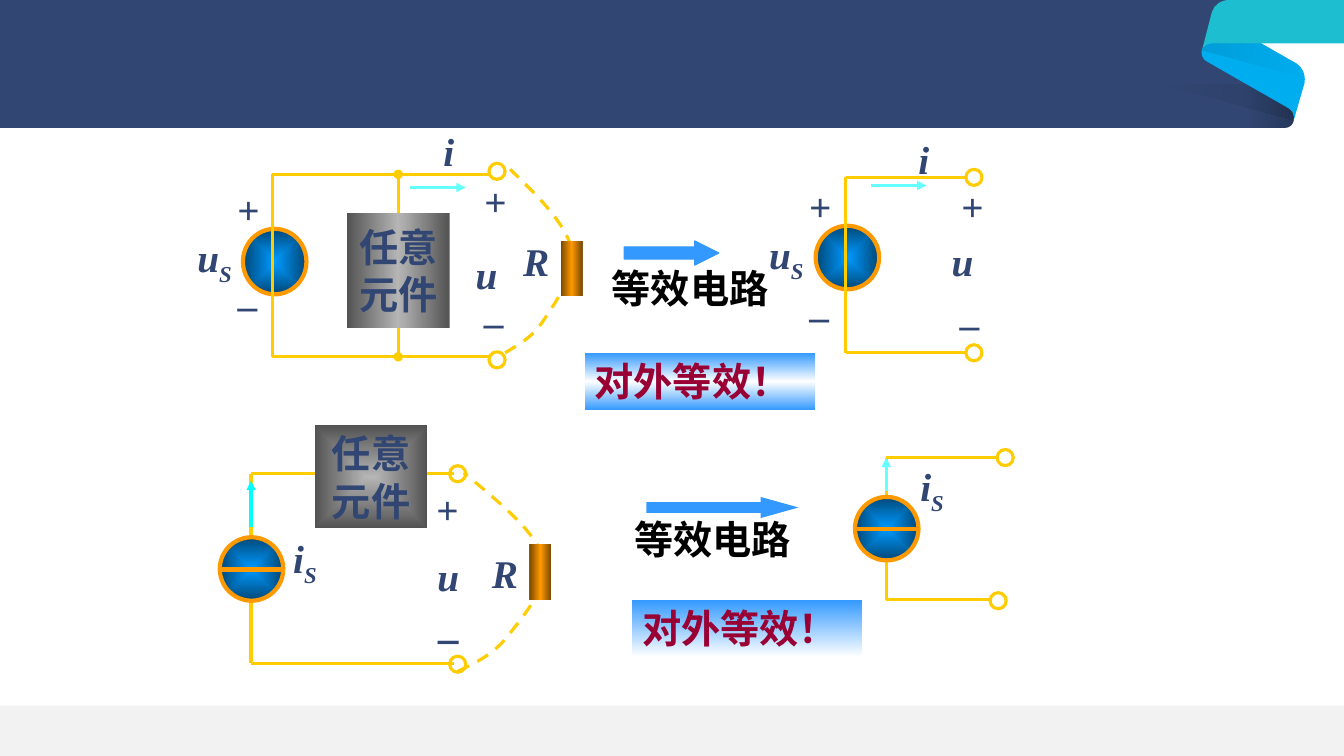
from lxml import etree
from pptx import Presentation
from pptx.dml.color import RGBColor
from pptx.enum.dml import MSO_LINE
from pptx.enum.shapes import MSO_CONNECTOR, MSO_SHAPE
from pptx.enum.text import MSO_ANCHOR, PP_ALIGN
from pptx.oxml.ns import qn
from pptx.util import Pt

PX = 9144
RECT, OVAL, ARROW = MSO_SHAPE.RECTANGLE, MSO_SHAPE.OVAL, MSO_SHAPE.RIGHT_ARROW
LINE, DASH = MSO_CONNECTOR.STRAIGHT, MSO_LINE.DASH
LEFT, MID = PP_ALIGN.LEFT, PP_ALIGN.CENTER
TOP, CENTER = MSO_ANCHOR.TOP, MSO_ANCHOR.MIDDLE
SERIF, SANS, HAN = "Times New Roman", "Arial", "Noto Sans CJK SC"
HUE = {
    "ink": "314672", "sky": "00ADEF", "teal": "1DBED0", "foot": "F2F2F2",
    "wire": "FFCC00", "rim": "FF9900", "flow": "66FFFF", "cyan": "00FFFF",
    "blue": "3399FF", "white": "FFFFFF", "black": "000000", "red": "990033",
    "core": "0099FF", "deep": "004776", "pale": "B5B5B5", "grey": "535353",
    "brown": "764700",
}


def rgb(name):
    return RGBColor.from_string(HUE[name])


def blend(shape, names, angle=None, alphas=None):
    grad = etree.Element(qn("a:gradFill"), rotWithShape="1")
    stops = etree.SubElement(grad, qn("a:gsLst"))
    for k, name in enumerate(names):
        pos = str(100000 * k // (len(names) - 1))
        stop = etree.SubElement(stops, qn("a:gs"), pos=pos)
        tint = etree.SubElement(stop, qn("a:srgbClr"), val=HUE[name])
        if alphas:
            etree.SubElement(tint, qn("a:alpha"), val=str(alphas[k] * 1000))
    if angle is None:
        way = etree.SubElement(grad, qn("a:path"), path="shape")
        sides = dict.fromkeys("ltrb", "50000")
        etree.SubElement(way, qn("a:fillToRect"), sides)
    else:
        etree.SubElement(grad, qn("a:lin"), ang=str(angle * 60000), scaled="0")
    shape._element.spPr.insert(2, grad)


def style(shape, fill=None, edge=None, width=2.25):
    shape.shadow.inherit = False
    if isinstance(fill, str):
        shape.fill.solid()
        shape.fill.fore_color.rgb = rgb(fill)
    elif fill:
        blend(shape, *fill)
    else:
        shape.fill.background()
    if edge:
        shape.line.color.rgb = rgb(edge)
        shape.line.width = Pt(width)
    else:
        shape.line.fill.background()
    return shape


def block(slide, kind, x, y, w, h, *look):
    box = [v * PX for v in (x, y, w, h)]
    return style(slide.shapes.add_shape(kind, *box), *look)


def trace(slide, x, y, steps, close=True, *look):
    pts = [((x + s[k]) * PX, (y + s[k + 1]) * PX)
           for s in steps for k in range(0, len(s), 2)]
    form = slide.shapes.build_freeform(*pts[0], scale=1.0)
    form.add_line_segments(pts[1:], close=close)
    shape = form.convert_to_shape()
    legs = iter(list(shape._element.iter(qn("a:lnTo"))))
    for step in steps[1:]:
        leg = next(legs)
        if len(step) == 6:
            leg.tag = qn("a:cubicBezTo")
            for other in (next(legs), next(legs)):
                leg.append(other[0])
                other.getparent().remove(other)
    return style(shape, *look)


def wire(slide, x, y, dx, dy, hue="wire", width=2.25, head=None, tail=None):
    line = slide.shapes.add_connector(LINE, x * PX, y * PX, (x + dx) * PX, (y + dy) * PX)
    line.line.color.rgb = rgb(hue)
    line.line.width = Pt(width)
    for tag, end in (("a:headEnd", head), ("a:tailEnd", tail)):
        if end:
            etree.SubElement(line.line._get_or_add_ln(), qn(tag), type=end)
    etree.SubElement(line._element.spPr, qn("a:effectLst"))


def write(shape, rows, hue="ink", face=SANS, slant=False, align=LEFT, anchor=TOP, wrap=True):
    frame = shape.text_frame
    frame.word_wrap = wrap
    frame.vertical_anchor = anchor
    for k, row in enumerate(rows):
        para = frame.add_paragraph() if k else frame.paragraphs[0]
        para.alignment = align
        font = para.font
        font.size, font.bold, font.italic, font.name = Pt(28), True, slant, face
        font.color.rgb = rgb(hue)
        etree.SubElement(font._element, qn("a:ea"), typeface=HAN)
        for n, part in enumerate(row):
            run = para.add_run()
            run.text = part
            if n:
                run.font._element.set("baseline", "-25000")


def label(slide, x, y, w, parts, **look):
    box = slide.shapes.add_textbox(x * PX, y * PX, w * PX, 57 * PX)
    write(box, [parts], **look)


def sign(slide, x, y, text, align=MID, face=SERIF):
    width = 37 if text == "_" else 43
    label(slide, x, y, width, [text], face=face, align=align, wrap=False)


def symbol(slide, x, y, w, *parts):
    label(slide, x, y, w, parts, face=SERIF, slant=True)


def ring(slide, x, y):
    block(slide, OVAL, x, y, 16, 16, None, "wire")


def source(slide, x, y, w=63, h=63):
    block(slide, OVAL, x, y, w, h, (("core", "deep"),), "rim", 3)


def banner(slide, x, y):
    trace(slide, x, y, [(0, 0), (1243, 0), (1243, 72), (1279, 108),
          (1283, 111, 1284, 115, 1283, 120), (1282, 124, 1279, 127, 1274, 127),
          (0, 127)], True, "ink")
    trace(slide, x, y, [(1197, 61), (1279, 108), (1283, 111, 1284, 115, 1283, 120),
          (1294, 82), (1295, 73, 1291, 66, 1286, 63), (1244, 39), (1202, 41),
          (1197, 41, 1193, 46, 1192, 50), (1191, 54, 1193, 59, 1197, 61)], True, "sky")
    trace(slide, x, y, [(1192, 50), (1193, 46, 1197, 43, 1202, 43), (1333, 43),
          (1333, 0), (1219, 0), (1211, 0, 1204, 5, 1202, 12), (1194, 43)], True, "teal")
    shades = (
        ([(1237, 84), (1237, 127), (1274, 127), (1279, 127, 1282, 124, 1283, 120),
          (1284, 115, 1283, 111, 1279, 108)], 180, 20),
        ([(1152, 84), (1283, 120), (1284, 115, 1283, 111, 1279, 108), (1237, 84)], 180, 10),
        ([(1192, 50), (1294, 77), (1294, 72, 1291, 66, 1286, 63), (1250, 43),
          (1202, 43), (1197, 43, 1193, 46, 1192, 50)], 0, 10),
    )
    for steps, angle, alpha in shades:
        trace(slide, x, y, steps, True, (("black", "black"), angle, (alpha, 0)))


def volt(slide, x, y, w, h, disc, tags, flow, rings):
    dx, dy, dw, dh = disc
    source(slide, x + dx, y + dy, dw, dh)
    wire(slide, x, y, 0, h)
    for dy in (0, h):
        wire(slide, x, y + dy, w, 0)
    for name, dx, dy in tags:
        if name in "+_":
            sign(slide, x + dx, y + dy, name)
        else:
            symbol(slide, x + dx, y + dy, {"uS": 83, "u": 63, "i": 42}[name], *name)
    wire(slide, x + flow[0], y + flow[1], 55, 0, "flow", tail="triangle")
    for dx, dy in rings:
        ring(slide, x + dx, y + dy)


def amp(slide, x, y, h, spans, drop, flow, hue, tag, rings):
    wire(slide, x, y, 0, h)
    wire(slide, x, y + flow[0], 0, flow[1] - flow[0], hue, tail="triangle")
    for dy, w in zip((0, h), spans):
        wire(slide, x, y + dy, w, 0)
    source(slide, x - 31, y + drop)
    wire(slide, x - 31, y + drop + 32, 63, 0, "rim", 3)
    symbol(slide, x + tag[0], y + tag[1], tag[2], "i", "S")
    for dx, dy in rings:
        ring(slide, x + dx, y + dy)


def part(slide, x, y, w, h, *fill):
    box = block(slide, RECT, x, y, w, h, fill)
    write(box, [["任意"], ["元件"]], align=MID, anchor=CENTER, wrap=False)


def load(slide, x, y, steps, tag, bar):
    trace(slide, x, y, steps, False, None, "wire").line.dash_style = DASH
    symbol(slide, x + tag[0], y + tag[1], tag[2], "R")
    block(slide, RECT, x + bar[0], y + bar[1], 22, 55, (("brown", "rim", "brown"), 0))


def equal(slide, x, y, w, h, tip, edge, drop, badge, hues):
    arrow = block(slide, ARROW, x, y, w, h, "blue", edge, 0.75)
    arrow.adjustments[0], arrow.adjustments[1] = 0.5, tip
    label(slide, x - 22, y + drop, 197, ["等效电路"], hue="black")
    box = block(slide, RECT, x + badge[0], y + badge[1], 228, 57, (hues, 90))
    write(box, [["对外等效！"]], "red")


def main():
    deck = Presentation()
    deck.slide_width, deck.slide_height = 1333 * PX, 750 * PX
    slide = deck.slides.add_slide(deck.slide_layouts[6])
    banner(slide, 0, 0)
    block(slide, RECT, 0, 700, 1333, 50, "foot")

    volt(slide, 270, 173, 217, 181, (-29, 54, 63, 65),
         [("uS", -84, 54), ("+", -45, 6), ("_", -44, 87), ("i", 160, -52),
          ("u", 192, 70), ("+", 200, -2), ("_", 200, 104)],
         (137, 13), [(215, -11), (215, 176)])
    wire(slide, 395, 173, 0, 181, head="oval", tail="oval")
    part(slide, 344, 211, 102, 114, ("grey", "pale", "grey"), 0)
    load(slide, 501, 168, [(0, 182), (13, 174, 27, 167, 38, 150),
         (49, 133, 71, 104, 66, 79), (60, 54, 33, 27, 5, 0)], (8, 63, 60), (55, 71))
    equal(slide, 619, 239, 94, 24, 1, "blue", 18, (-39, 111), ("blue", "white", "blue"))
    volt(slide, 839, 176, 119, 174, (-30, 48, 63, 63),
         [("uS", -86, 48), ("+", -47, 0), ("_", -46, 95), ("i", 62, -47),
          ("u", 95, 55), ("+", 104, 0), ("_", 103, 103)],
         (25, 8), [(119, -8), (119, 166)])

    amp(slide, 249, 470, 188, (201, 201), 63, (53, 7), "cyan", (32, 55, 88),
        [(197, -8), (197, 181)])
    part(slide, 312, 422, 112, 102, ("pale", "grey"))
    symbol(slide, 424, 543, 52, "u")
    sign(slide, 424, 590, "_", LEFT, HAN)
    sign(slide, 423, 477, "+", LEFT)
    load(slide, 454, 469, [(0, 197), (17, 189, 34, 181, 49, 163),
         (63, 144, 92, 113, 85, 86), (78, 59, 42, 30, 6, 0)], (24, 71, 78), (71, 71))
    equal(slide, 641, 493, 151, 21, 1.79, None, 13, (-14, 102), ("blue", "white"))
    amp(slide, 879, 454, 141, (110, 103), 39, (33, 0), "flow", (24, 0, 58),
        [(110, -8), (103, 134)])
    deck.save("out.pptx")


if __name__ == "__main__":
    main()
